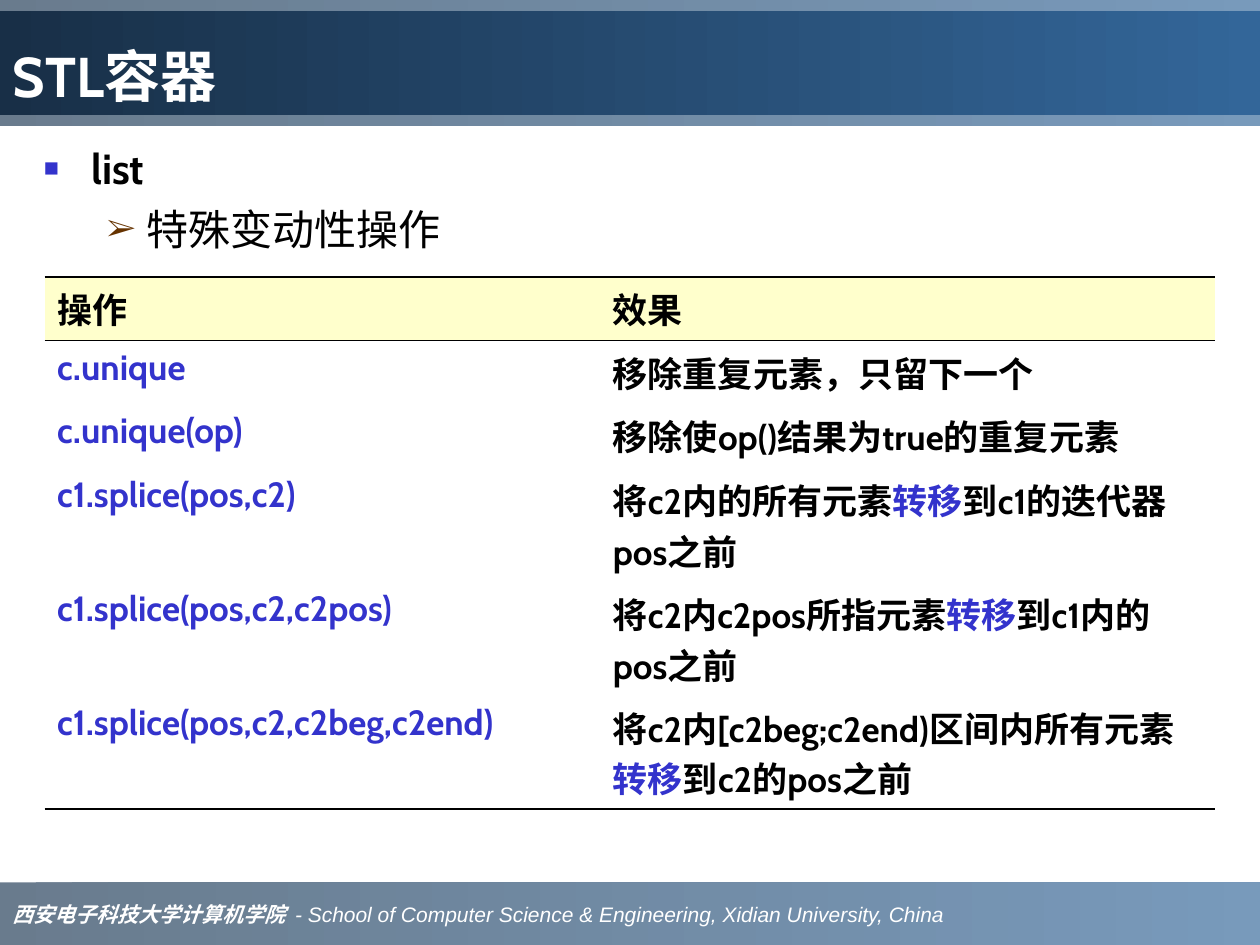
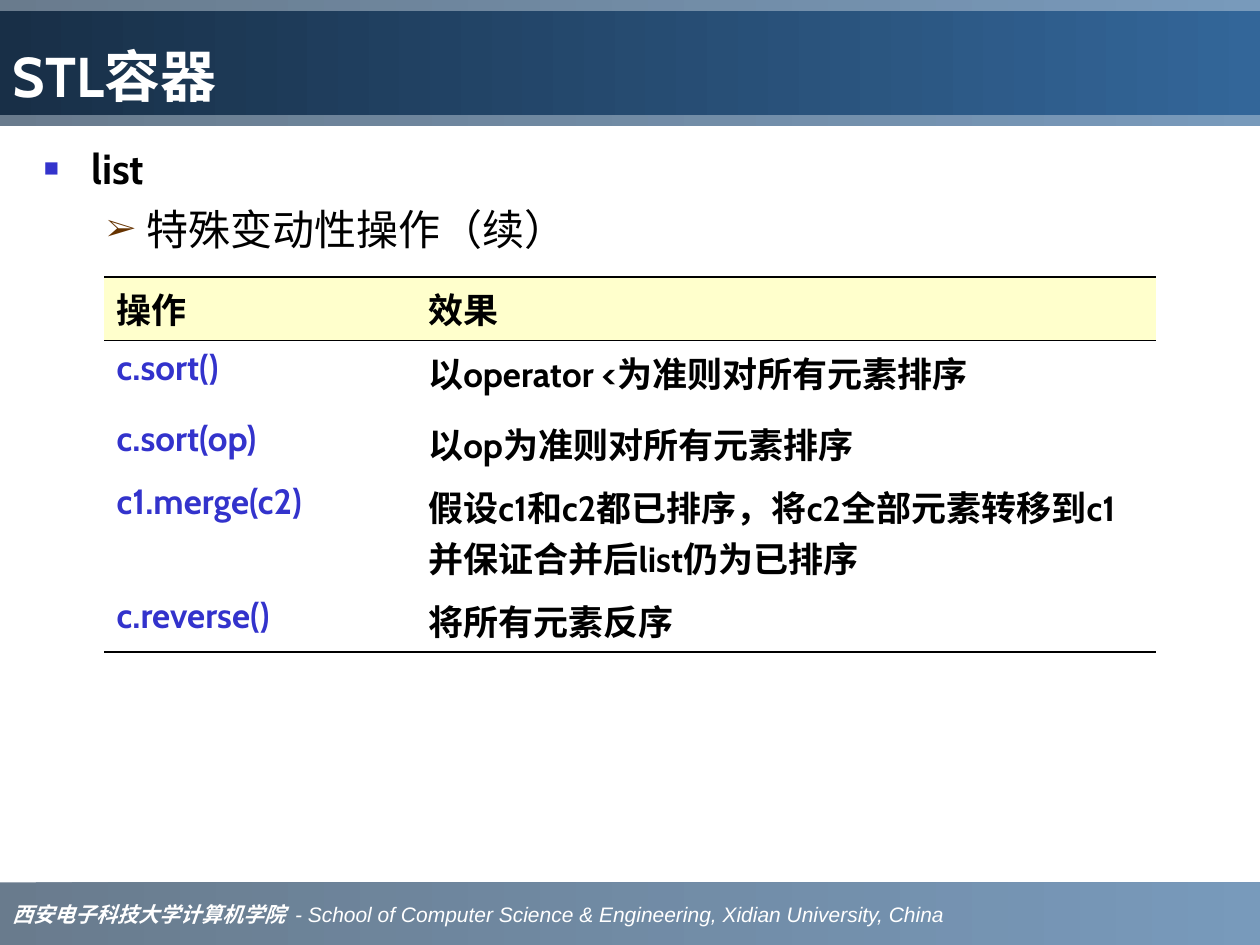
from dataclasses import dataclass

from lxml import etree
from pptx import Presentation
from pptx.dml.color import RGBColor
from pptx.enum.shapes import MSO_SHAPE
from pptx.enum.text import MSO_ANCHOR, MSO_AUTO_SIZE, PP_ALIGN
from pptx.oxml.ns import qn
from pptx.util import Pt

RECTANGLE = MSO_SHAPE.RECTANGLE
LEFT = PP_ALIGN.LEFT
BOTTOM, MIDDLE = MSO_ANCHOR.BOTTOM, MSO_ANCHOR.MIDDLE
NO_AUTOFIT = MSO_AUTO_SIZE.NONE


@dataclass(frozen=True)
class Theme:
    """Colours, fonts and type sizes shared by all slides."""
    ink: str = "000000"
    white: str = "FFFFFF"
    accent: str = "3333CC"
    arrow: str = "663300"
    header: str = "FFFFCC"
    band: tuple = ("1C3853", "336699")
    title_band: tuple = ("182F47", "336699")
    band_alpha: int = 66
    font: str = "Cabin"
    bullet_font: str = "Times New Roman"
    school_font: str = "Times New Roman"
    school_english_font: str = "Arial"
    title_size: int = 32
    outline_size: int = 24
    table_size: int = 20
    footer_size: int = 12
    rule: float = 1.08
    thin_rule: float = 0.75


WIDTH, HEIGHT = 720, 540
TABLE_TOP = 158.2
ONE_LINE, TALL_LINE, TWO_LINES = 36.3, 40.5, 65.1
SCHOOL = "西安电子科技大学计算机学院"
SCHOOL_ENGLISH = "- School of Computer Science & Engineering, Xidian University, China"
HEADINGS = ("操作", "效果")

LIST_SLIDES = [
    {
        "topic": "特殊变动性操作",
        "left": 25.5,
        "columns": (317.5, 351.5),
        "heights": (ONE_LINE, ONE_LINE, ONE_LINE, TWO_LINES, TWO_LINES, TWO_LINES),
        "operations": [
            ("c.unique", "移除重复元素，只留下一个"),
            ("c.unique(op)", "移除使op()结果为true的重复元素"),
            ("c1.splice(pos,c2)", "将c2内的所有元素|转移|到c1的迭代器pos之前"),
            ("c1.splice(pos,c2,c2pos)", "将c2内c2pos所指元素|转移|到c1内的pos之前"),
            ("c1.splice(pos,c2,c2beg,c2end)",
             "将c2内[c2beg;c2end)区间内所有元素|转移|到c2的pos之前"),
        ],
    },
    {
        "topic": "特殊变动性操作（续）",
        "left": 59.5,
        "columns": (178, 423),
        "heights": (ONE_LINE, TALL_LINE, ONE_LINE, TWO_LINES, ONE_LINE),
        "operations": [
            ("c.sort()", "以operator <为准则对所有元素排序"),
            ("c.sort(op)", "以op为准则对所有元素排序"),
            ("c1.merge(c2)",
             "假设c1和c2都已排序，将c2全部元素转移到c1并保证合并后list仍为已排序"),
            ("c.reverse()", "将所有元素反序"),
        ],
    },
]


class Deck:
    """Holds the theme and the current slide and draws each kind of element."""

    def __init__(self, theme):
        """Start an empty presentation."""
        self.theme = theme
        self.presentation = Presentation()
        self.presentation.slide_width = Pt(WIDTH)
        self.presentation.slide_height = Pt(HEIGHT)
        self.slide = None

    def new_slide(self, title):
        """Add a slide with its footer, top band and title."""
        layout = self.presentation.slide_layouts[5]
        self.slide = self.presentation.slides.add_slide(layout)
        self.footer()
        self.band(0, 72)
        self.title(title)

    def gradient(self, shape, colors, alpha=100):
        """Fill a shape from left to right and remove its outline."""
        shape.fill.gradient()
        shape.fill.gradient_angle = 0
        for stop, color in zip(shape.fill.gradient_stops, colors):
            stop.color.rgb = RGBColor.from_string(color)
        if alpha < 100:
            for color in shape.element.spPr.iter(qn("a:srgbClr")):
                etree.SubElement(color, qn("a:alpha"), val=str(alpha * 1000))
        shape.line.fill.background()

    def band(self, top, height):
        """Draw a translucent band across the slide."""
        band = self.slide.shapes.add_shape(RECTANGLE, 0, Pt(top), Pt(WIDTH), Pt(height))
        band.shadow.inherit = False
        self.gradient(band, self.theme.band, self.theme.band_alpha)
        return band

    def style(self, run, size, color, bold=True, italic=False, font=None):
        """Format one run."""
        run.font.name = font or self.theme.font
        run.font.size = Pt(size)
        run.font.bold = bold
        run.font.italic = italic
        run.font.color.rgb = RGBColor.from_string(color)

    def footer(self):
        """Draw the footer band with the school's name."""
        theme = self.theme
        frame = self.band(504.3, 36).text_frame
        frame.word_wrap = False
        frame.vertical_anchor = MIDDLE
        line = frame.paragraphs[0]
        line.alignment = LEFT
        for text, font, bold, spacing in (
                (SCHOOL, theme.school_font, True, 0),
                (" ", theme.school_font, True, 2.8),
                (SCHOOL_ENGLISH, theme.school_english_font, False, 0)):
            run = line.add_run()
            run.text = text
            self.style(run, theme.footer_size, theme.white, bold, True, font)
            if spacing:
                run._r.get_or_add_rPr().set("spc", str(round(spacing * 100)))

    def title(self, text):
        """Place the title above the top band."""
        title = self.slide.shapes.title
        title.left, title.top, title.width, title.height = 0, Pt(6), Pt(WIDTH), Pt(60)
        title.element.getparent().append(title.element)
        self.gradient(title, self.theme.title_band)
        frame = title.text_frame
        frame.text = text
        frame.auto_size = NO_AUTOFIT
        frame.vertical_anchor = BOTTOM
        frame.paragraphs[0].alignment = LEFT
        self.style(frame.paragraphs[0].runs[0], self.theme.title_size, self.theme.white)

    def bullet(self, paragraph, char, color, percent, margin, hang):
        """Give a paragraph a bullet with a hanging indent."""
        properties = paragraph._p.get_or_add_pPr()
        properties.set("marL", str(Pt(margin)))
        properties.set("indent", str(-Pt(hang)))
        bullet_color = etree.SubElement(properties, qn("a:buClr"))
        etree.SubElement(bullet_color, qn("a:srgbClr"), val=color)
        etree.SubElement(properties, qn("a:buSzPct"), val=str(percent * 1000))
        etree.SubElement(properties, qn("a:buFont"), typeface=self.theme.bullet_font)
        etree.SubElement(properties, qn("a:buChar"), char=char)

    def outline(self, container, topic):
        """Write the container's name and the topic below it."""
        theme = self.theme
        box = self.slide.shapes.add_textbox(Pt(18), Pt(78), Pt(678), Pt(72))
        frame = box.text_frame
        frame.word_wrap = True
        frame.text = f"{container}\n{topic}"
        heading, detail = frame.paragraphs
        self.bullet(heading, "■", theme.accent, 60, 27, 27)
        self.bullet(detail, "➢", theme.arrow, 75, 58.5, 22.5)
        detail.level = 1
        detail.space_before = Pt(6)
        self.style(heading.runs[0], theme.outline_size, theme.ink)
        self.style(detail.runs[0], theme.outline_size, theme.ink, bold=False)

    def borders(self, cell, top, bottom):
        """Rule a cell above and below; a width of 0 means no line."""
        properties = cell._tc.get_or_add_tcPr()
        for side, width in (("L", 0), ("R", 0), ("T", top), ("B", bottom)):
            line = etree.SubElement(properties, qn(f"a:ln{side}"), w=str(Pt(width)))
            if width:
                fill = etree.SubElement(line, qn("a:solidFill"))
                etree.SubElement(fill, qn("a:srgbClr"), val=self.theme.ink)
            else:
                etree.SubElement(line, qn("a:noFill"))

    def cell(self, cell, text, color):
        """Write a cell, with the parts between bars in the accent colour."""
        paragraph = cell.text_frame.paragraphs[0]
        for index, part in enumerate(text.split("|")):
            run = paragraph.add_run()
            run.text = part
            self.style(run, self.theme.table_size, self.theme.accent if index % 2 else color)

    def table(self, left, columns, heights, operations):
        """Draw the table of operations and their effects."""
        theme = self.theme
        rows = [HEADINGS, *operations]
        table = self.slide.shapes.add_table(
            len(rows), len(columns), Pt(left), Pt(TABLE_TOP),
            Pt(sum(columns)), Pt(sum(heights))).table
        table.first_row = table.horz_banding = False
        for column, width in zip(table.columns, columns):
            column.width = Pt(width)
        for index, (texts, height) in enumerate(zip(rows, heights)):
            table.rows[index].height = Pt(height)
            top = {0: theme.rule, 1: theme.thin_rule}.get(index, 0)
            bottom = {0: theme.thin_rule, len(rows) - 1: theme.rule}.get(index, 0)
            for column, text in enumerate(texts):
                cell = table.cell(index, column)
                self.borders(cell, top, bottom)
                if index == 0:
                    cell.fill.solid()
                    cell.fill.fore_color.rgb = RGBColor.from_string(theme.header)
                else:
                    cell.fill.background()
                is_operation = index > 0 and column == 0
                self.cell(cell, text, theme.accent if is_operation else theme.ink)


def main():
    """Build both slides and save them."""
    deck = Deck(Theme())
    for content in LIST_SLIDES:
        deck.new_slide("STL容器")
        deck.outline("list", content["topic"])
        deck.table(content["left"], content["columns"],
                   content["heights"], content["operations"])
    deck.presentation.save("out.pptx")


if __name__ == "__main__":
    main()
